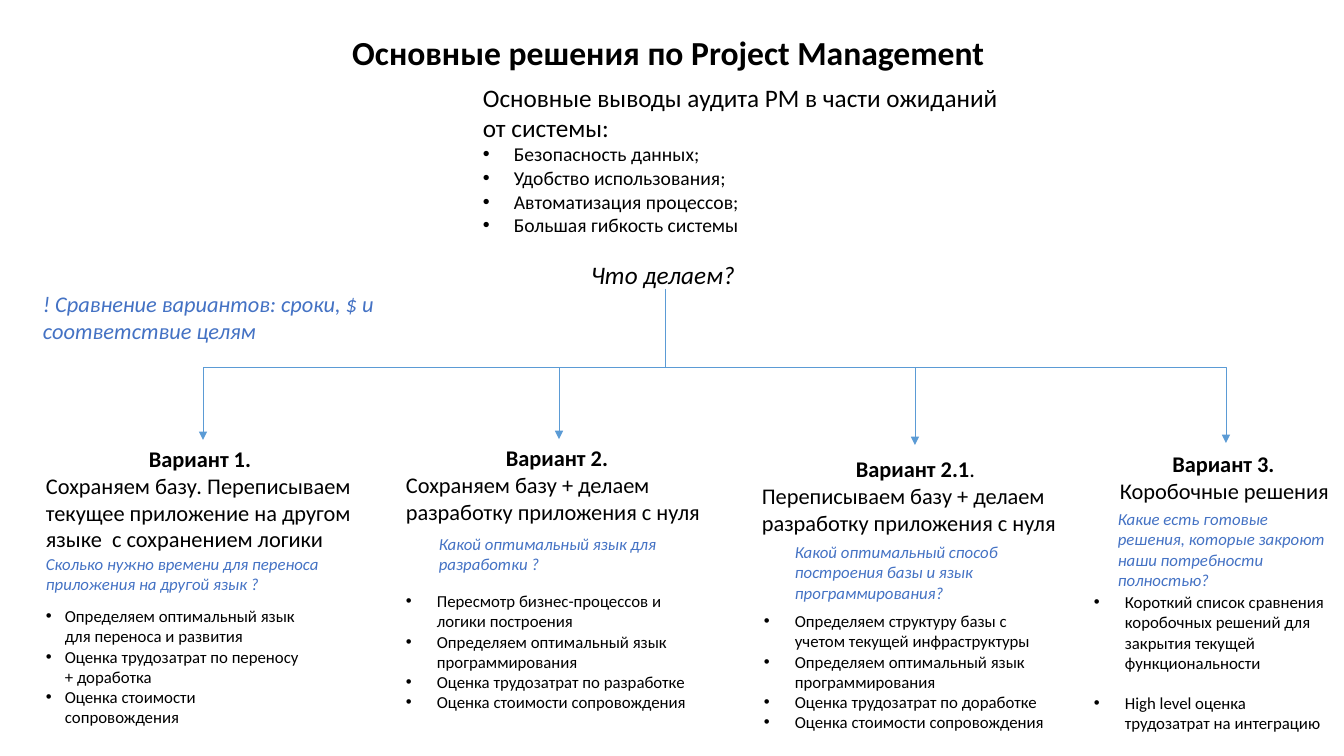
from lxml import etree
from pptx import Presentation
from pptx.dml.color import RGBColor
from pptx.enum.shapes import MSO_CONNECTOR
from pptx.enum.text import MSO_AUTO_SIZE, PP_ALIGN
from pptx.oxml.ns import qn
from pptx.util import Pt

ELBOW = MSO_CONNECTOR.ELBOW
GROW = MSO_AUTO_SIZE.SHAPE_TO_FIT_TEXT
LEFT, CENTER = PP_ALIGN.LEFT, PP_ALIGN.CENTER

# Content: boxes are (left, top, width, height) in px
TITLE = ((246, 27, 852, 50), "Основные решения по Project Management ")
AUDIT = ((473, 77, 539, 190),
         "Основные выводы аудита PM в части ожиданий от системы:",
         ["Безопасность данных;", "Удобство использования;",
          "Автоматизация процессов;", "Большая гибкость системы"])
ASK = ((581, 254, 169, 40), "Что делаем?")
COMPARE = ((33, 285, 472, 65),
           "! Сравнение вариантов: сроки, $ и соответствие целям")

OPTIONS = [
    {"tip": (203, 440), "indent": 19, "gap": 0,
     "head": ((36, 440, 333, 119), "Вариант 1. ", "",
              "Сохраняем базу. Переписываем текущее приложение на другом "
              "языке  с сохранением логики"),
     "note": ((36, 549, 316, 50),
              "Сколько нужно времени для переноса приложения на другой язык ?"),
     "list": ((36, 601, 282, 132),
              ["Определяем оптимальный язык для переноса и развития",
               "Оценка трудозатрат по переносу + доработка",
               "Оценка стоимости сопровождения"])},
    {"tip": (559, 439), "indent": 31, "gap": 0,
     "head": ((396, 439, 327, 92), "Вариант 2. ", "",
              "Сохраняем базу + делаем разработку приложения с нуля"),
     "note": ((429, 529, 259, 50), "Какой оптимальный язык для разработки ?"),
     "list": ((396, 586, 314, 132),
              ["Пересмотр бизнес-процессов и логики построения",
               "Определяем оптимальный язык программирования",
               "Оценка трудозатрат по разработке",
               "Оценка стоимости сопровождения"])},
    {"tip": (915, 445), "indent": 31, "gap": 0,
     "head": ((752, 450, 327, 92), "Вариант 2.1", ".",
              "Переписываем базу + делаем разработку приложения с нуля"),
     "note": ((785, 537, 293, 72),
              "Какой оптимальный способ построения базы и язык программирования?"),
     "list": ((754, 606, 314, 132),
              ["Определяем структуру базы с учетом текущей инфраструктуры",
               "Определяем оптимальный язык программирования",
               "Оценка трудозатрат по доработке",
               "Оценка стоимости сопровождения"])},
    {"tip": (1226, 443), "indent": 31, "gap": 14.6,
     "head": ((1110, 445, 232, 65), "Вариант 3. ", "", "Коробочные решения"),
     "note": ((1108, 504, 237, 92),
              "Какие есть готовые решения, которые закроют наши потребности "
              "полностью?"),
     "list": ((1084, 587, 261, 152),
              ["Короткий список сравнения коробочных решений для закрытия "
               "текущей функциональности",
               "High lеvel оценка трудозатрат на интеграцию"])},
]

# Theme
INK, BLUE, SKY = (RGBColor.from_string(c) for c in ("000000", "4472C4", "5B9BD5"))
THEME = {
    "title": {"size": Pt(24), "bold": True, "color": INK},
    "lead": {"size": Pt(18), "color": INK},
    "point": {"size": Pt(14), "color": INK},
    "ask": {"size": Pt(18), "italic": True, "color": INK},
    "compare": {"size": Pt(16), "italic": True, "color": BLUE},
    "name": {"size": Pt(16), "bold": True, "color": INK},
    "head": {"size": Pt(16), "color": INK},
    "note": {"size": Pt(12), "italic": True, "color": BLUE},
    "item": {"size": Pt(12), "color": INK},
}
FONT = "Calibri"
WIDE, HIGH = 1344, 756
STEM, BEND = 665, 367
INDENT = 31


def px(n):
    return round(n * 12192000 / WIDE)


deck = Presentation()
deck.slide_width, deck.slide_height = px(WIDE), px(HIGH)
slide = deck.slides.add_slide(deck.slide_layouts[6])


def para(runs, align=LEFT, indent=0, gap=0):
    return {"runs": runs, "align": align, "indent": indent, "gap": gap}


def bullets(texts, style, indent, gap=0):
    return [para([(t, style)], indent=indent, gap=gap if i else 0)
            for i, t in enumerate(texts)]


def add_text(box, paras):
    frame = slide.shapes.add_textbox(*map(px, box)).text_frame
    frame.word_wrap = True
    frame.auto_size = GROW
    for i, item in enumerate(paras):
        p = frame.add_paragraph() if i else frame.paragraphs[0]
        p.alignment = item["align"]
        if item["gap"]:
            p.space_before = Pt(item["gap"])
        if item["indent"]:
            props = p._p.get_or_add_pPr()
            props.set("marL", str(px(item["indent"])))
            props.set("indent", str(-px(item["indent"])))
            etree.SubElement(props, qn("a:buFont")).set("typeface", "Arial")
            etree.SubElement(props, qn("a:buChar")).set("char", "•")
        for text, style in item["runs"]:
            run = p.add_run()
            run.text = text
            run.font.name = FONT
            for key, value in THEME[style].items():
                if key == "color":
                    run.font.color.rgb = value
                else:
                    setattr(run.font, key, value)


def add_arrow(tip):
    """Elbow from the stem down to the tip, bending at BEND."""
    x, y = tip
    drop, span = 2 * (y - BEND), abs(x - STEM)
    mid = (x + STEM) / 2
    ends = [mid - drop / 2, mid + drop / 2]
    if x > STEM:
        ends.reverse()
    line = slide.shapes.add_connector(
        ELBOW, px(ends[0]), px(BEND - span / 2),
        px(ends[1]), px(BEND + span / 2))
    line.rotation_deg = 270 if x > STEM else 90
    props = line._element.spPr
    props.find(qn("a:xfrm")).set("rot", str(line.rotation_deg * 60000))
    line.line.color.rgb = SKY
    line.line.width = Pt(0.5)
    etree.SubElement(line.line._get_or_add_ln(), qn("a:tailEnd")).set("type", "triangle")
    etree.SubElement(props, qn("a:effectLst"))


# Top part
add_text(TITLE[0], [para([(TITLE[1], "title")], CENTER)])
add_text(AUDIT[0], [para([(AUDIT[1], "lead")])] + bullets(AUDIT[2], "point", INDENT))
add_text(ASK[0], [para([(ASK[1], "ask")])])
add_text(COMPARE[0], [para([(COMPARE[1], "compare")])])

# Options
for option in OPTIONS:
    box, name, dot, text = option["head"]
    label = [(name, "name")] + ([(dot, "head")] if dot else [])
    add_text(box, [para(label, CENTER), para([(text, "head")])])
    box, text = option["note"]
    add_text(box, [para([(text, "note")])])
    box, texts = option["list"]
    add_text(box, bullets(texts, "item", option["indent"], option["gap"]))
    add_arrow(option["tip"])

deck.save("out.pptx")
